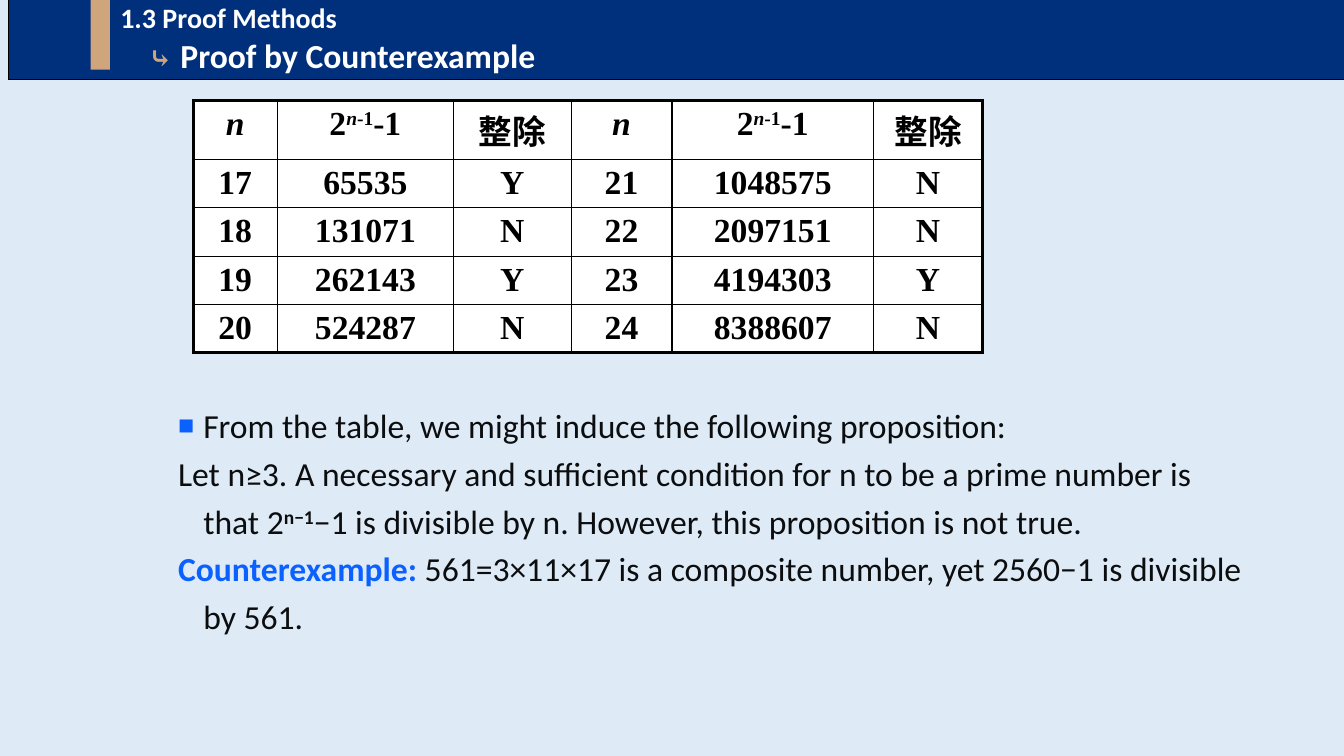
"""Builds the slide on proof by counterexample."""
from lxml import etree
from pptx import Presentation
from pptx.dml.color import RGBColor
from pptx.enum.shapes import MSO_SHAPE
from pptx.enum.text import MSO_ANCHOR, MSO_AUTO_SIZE, PP_ALIGN
from pptx.oxml.ns import qn
from pptx.util import Inches, Pt

NAVY = RGBColor(0x00, 0x2F, 0x7C)
SAND = RGBColor(0xCF, 0xA5, 0x7C)
PALE = RGBColor(0xDE, 0xEB, 0xF7)
INK = RGBColor(0x0C, 0x0D, 0x0E)
BLUE = RGBColor(0x0B, 0x61, 0xFF)
WHITE = RGBColor(0xFF, 0xFF, 0xFF)
BLACK = RGBColor(0x00, 0x00, 0x00)
RECTANGLE = MSO_SHAPE.RECTANGLE
LEFT, CENTER = PP_ALIGN.LEFT, PP_ALIGN.CENTER
TOP, MIDDLE = MSO_ANCHOR.TOP, MSO_ANCHOR.MIDDLE
NO_AUTOFIT = MSO_AUTO_SIZE.NONE

GRID_COLUMNS, GRID_ROWS = 160, 90
COLUMN_SPANS = [10, 21, 14, 12, 24, 13]
ROW_SPANS = [7, 5.75, 5.75, 5.75, 5.75]

POWER = [("2", {}), ("n", {"italic": True, "raised": True}), ("-1", {"raised": True}), ("-1", {})]
HEADINGS = [[("n", {"italic": True})], POWER, [("整除", {})]] * 2
DIVISIBILITY = [
    ["17", "65535", "Y", "21", "1048575", "N"],
    ["18", "131071", "N", "22", "2097151", "N"],
    ["19", "262143", "Y", "23", "4194303", "Y"],
    ["20", "524287", "N", "24", "8388607", "N"],
]
TABLE_ROWS = [HEADINGS] + [[[(value, {})] for value in row] for row in DIVISIBILITY]
HEADER = [
    (0, [("1.3 Proof Methods", {"size": 20})]),
    (0.28, [("⤷", {"size": 20, "color": SAND}),
            (" ", {"font": "Roboto", "bold": False}),
            ("Proof by Counterexample", {})]),
]
ARGUMENT = [
    ("■", [("From the table, we might induce the following proposition:", {})]),
    (None, [("Let n≥3. A necessary and sufficient condition for n to be a prime number is that 2", {}),
            ("n−1", {"bold": True, "raised": True}),
            ("−1 is divisible by n. However, this proposition is not true.", {})]),
    (None, [("Counterexample: ", {"bold": True, "color": BLUE}),
            ("561=3×11×17 is a composite number, yet 2560−1 is divisible by 561.", {})]),
]


def write(paragraph, text, font="Calibri", size=24, color=INK, bold=False, italic=False, raised=False):
    """Add one formatted run to a paragraph."""
    run = paragraph.add_run()
    run.text = text
    run.font.name, run.font.size = font, Pt(size)
    run.font.bold, run.font.italic = bold, italic
    run.font.color.rgb = color
    if raised:
        run.font._element.set("baseline", "30000")


def write_all(paragraph, pieces, **style):
    """Write pieces that share a style, each with its own changes."""
    for text, changes in pieces:
        write(paragraph, text, **{**style, **changes})


def paragraphs_for(frame, items):
    """Yield a paragraph of the frame with each item."""
    for index, item in enumerate(items):
        yield (frame.add_paragraph() if index else frame.paragraphs[0]), item


def set_indent(paragraph, margin, hanging=0, bullet=None):
    """Set the indents in inches and the bullet of a paragraph."""
    properties = paragraph._p.get_or_add_pPr()
    properties.set("marL", str(Inches(margin)))
    properties.set("indent", str(Inches(-hanging)))
    if bullet is None:
        etree.SubElement(properties, qn("a:buNone"))
        return
    bullet_color = etree.SubElement(properties, qn("a:buClr"))
    etree.SubElement(bullet_color, qn("a:srgbClr"), val=str(BLUE))
    etree.SubElement(properties, qn("a:buSzPct"), val="80000")
    etree.SubElement(properties, qn("a:buChar"), char=bullet)


def set_border(cell, side, width):
    """Draw one side of a table cell."""
    line = etree.SubElement(cell._tc.get_or_add_tcPr(), qn(f"a:ln{side}"), w=str(Pt(width)))
    fill = etree.SubElement(line, qn("a:solidFill"))
    etree.SubElement(fill, qn("a:srgbClr"), val=str(BLACK))


class ProofSlide:
    """Holds the grid, the style and the slide being built."""

    def __init__(self, deck):
        """Add a slide with a title and a body."""
        self.column = deck.slide_width / GRID_COLUMNS
        self.row = deck.slide_height / GRID_ROWS
        self.slide = deck.slides.add_slide(deck.slide_layouts[1])
        self.slide.background.fill.solid()
        self.slide.background.fill.fore_color.rgb = PALE

    def box(self, left, top, width, height):
        """Turn grid columns and rows into lengths."""
        return (round(left * self.column), round(top * self.row),
                round(width * self.column), round(height * self.row))

    def place(self, placeholder, *cells):
        """Move a placeholder to grid cells and return its text frame."""
        placeholder.left, placeholder.top, placeholder.width, placeholder.height = self.box(*cells)
        frame = placeholder.text_frame
        frame.auto_size, frame.word_wrap = NO_AUTOFIT, True
        return frame

    def header(self, lines, *cells):
        """Fill the title as a band across the slide."""
        band = self.slide.shapes.title
        frame = self.place(band, *cells)
        band.fill.solid()
        band.fill.fore_color.rgb = NAVY
        band.line.color.rgb, band.line.width = BLACK, Pt(1)
        frame.vertical_anchor = MIDDLE
        frame.margin_left = Inches(1.11)
        frame.margin_top = frame.margin_bottom = 0
        for paragraph, (margin, pieces) in paragraphs_for(frame, lines):
            set_indent(paragraph, margin)
            paragraph.alignment = LEFT
            write_all(paragraph, pieces, color=WHITE, bold=True)

    def accent(self, *cells):
        """Add a plain coloured bar."""
        bar = self.slide.shapes.add_shape(RECTANGLE, *self.box(*cells))
        bar.shadow.inherit = False
        bar.fill.solid()
        bar.fill.fore_color.rgb = SAND
        bar.line.fill.background()

    def body(self, statements, *cells):
        """Write the argument in the body."""
        frame = self.place(self.slide.placeholders[1], *cells)
        frame.vertical_anchor = TOP
        for paragraph, (bullet, pieces) in paragraphs_for(frame, statements):
            set_indent(paragraph, 0.25, 0.25, bullet)
            paragraph.line_spacing, paragraph.space_before = 1.18, Pt(0)
            write_all(paragraph, pieces)

    def table(self, rows, left, top):
        """Add the bordered table of divisibility."""
        cells = self.box(left, top, sum(COLUMN_SPANS), sum(ROW_SPANS))
        grid = self.slide.shapes.add_table(len(rows), len(COLUMN_SPANS), *cells).table
        grid.first_row = grid.horz_banding = False
        for column, span in zip(grid.columns, COLUMN_SPANS):
            column.width = round(span * self.column)
        last_row, last_column = len(rows) - 1, len(COLUMN_SPANS) - 1
        for r, row in enumerate(rows):
            grid.rows[r].height = round(ROW_SPANS[r] * self.row)
            for c, pieces in enumerate(row):
                cell = grid.cell(r, c)
                outer = {"L": c == 0, "R": c == last_column, "T": r == 0, "B": r == last_row}
                for side, is_outer in outer.items():
                    set_border(cell, side, 2.25 if is_outer else 1)
                cell.fill.solid()
                cell.fill.fore_color.rgb = WHITE
                cell.margin_bottom = Inches(0.04)
                paragraph = cell.text_frame.paragraphs[0]
                paragraph.alignment = CENTER
                write_all(paragraph, pieces, font="Times New Roman", color=BLACK, bold=True)


def main():
    """Build and save the slide."""
    deck = Presentation()
    deck.slide_width, deck.slide_height = Inches(13.33), Inches(7.5)
    proof = ProofSlide(deck)
    proof.header(HEADER, 1, -0.5, 160, 10)
    proof.accent(10.8, 0, 2.3, 8.3)
    proof.body(ARGUMENT, 20, 46.8, 129.5, 32)
    proof.table(TABLE_ROWS, 23, 12)
    deck.save("out.pptx")


if __name__ == "__main__":
    main()
